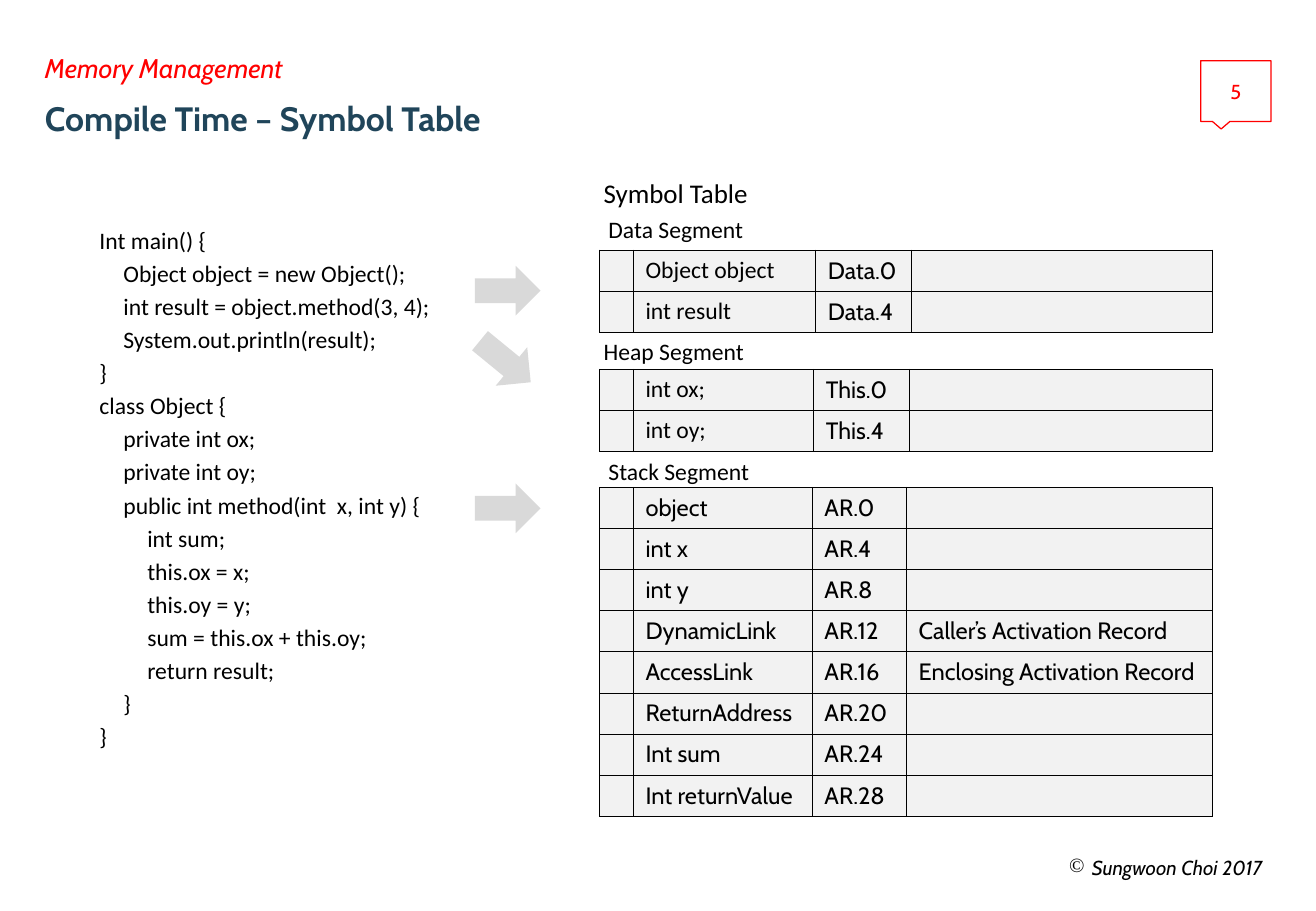
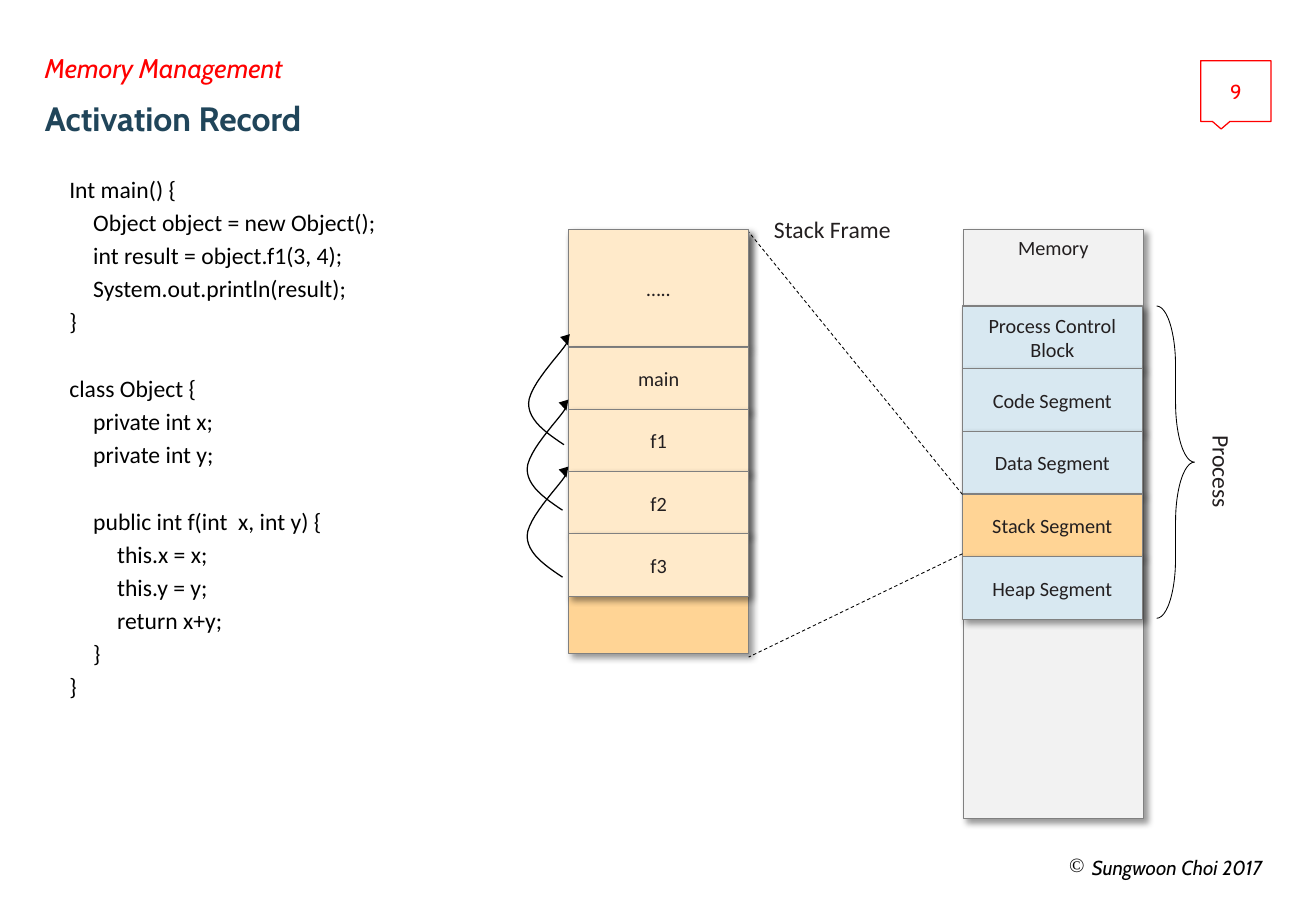
from lxml import etree
from pptx import Presentation
from pptx import util as u
from pptx.dml.color import RGBColor
from pptx.enum import dml, shapes, text
from pptx.oxml import parse_xml
from pptx.oxml.ns import nsdecls, qn

Cm, Pt = u.Cm, u.Pt
KIND = shapes.MSO_SHAPE
ALIGN, ANCHOR = text.PP_ALIGN, text.MSO_ANCHOR
COLORS = {
    "accent": "FF0000", "title": "20455A", "black": "000000", "ink": "231F20",
    "cell": "F2F2F2", "arrow": "D9D9D9", "edge": "808080",
    "segment": "D8E8F1", "stack": "FFD495", "frame": "FFEACA",
}
RGB = {name: RGBColor.from_string(value) for name, value in COLORS.items()}
LOOKS = {
    "title": ({"name": "Cabin", "size": Pt(20), "bold": True}, "title"),
    "chapter": ({"name": "Cabin", "size": Pt(16), "italic": True}, "accent"),
    "footer": ({"name": "Cabin", "size": Pt(12), "italic": True}, "black"),
    "number": ({"name": "Cabin", "size": Pt(12)}, "accent"),
    "code": ({"name": "Calibri", "size": Pt(14)}, "black"),
    "cell": ({"name": "Cabin", "size": Pt(14)}, "black"),
    "heading": ({"name": "Calibri", "size": Pt(16)}, "black"),
    "label": ({"name": "Calibri", "size": Pt(14)}, "ink"),
    "box": ({"name": "Calibri", "size": Pt(12)}, "ink"),
}


def write(holder, content, look, align=ALIGN.LEFT, anchor=ANCHOR.TOP, inset=(0.25, 0.13)):
    """Fill a shape's text frame, one paragraph a line, and return the paragraphs."""
    frame = holder.text_frame
    frame.word_wrap, frame.vertical_anchor = True, anchor
    frame.margin_left = frame.margin_right = Cm(inset[0])
    frame.margin_top = frame.margin_bottom = Cm(inset[1])
    frame.text = content
    attributes, color = LOOKS[look]
    for paragraph in frame.paragraphs:
        paragraph.alignment = align
        for run in paragraph.runs:
            for key, value in attributes.items():
                setattr(run.font, key, value)
            run.font.color.rgb = RGB[color]
    return frame.paragraphs


def add_box(parent, place, fill, label="", anchor=ANCHOR.MIDDLE):
    """Add an outlined rectangle with a soft shadow to the lower right."""
    box = parent.add_shape(KIND.RECTANGLE, *map(Cm, place))
    box.fill.solid()
    box.fill.fore_color.rgb = RGB[fill]
    box.line.color.rgb = RGB["edge"]
    box.line.width = Pt(0.75)
    box._element.spPr.append(parse_xml(
        f'<a:effectLst {nsdecls("a")}><a:outerShdw blurRad="{Pt(4)}" dist="{Pt(3)}" '
        'dir="2700000" algn="tl" rotWithShape="0"><a:srgbClr val="000000">'
        '<a:alpha val="40000"/></a:srgbClr></a:outerShdw></a:effectLst>'))
    if label:
        write(box, label, "box", ALIGN.CENTER, anchor)


SYMBOL_CODE = """Int main() {
    Object object = new Object();
    int result = object.method(3, 4);
    System.out.println(result);
}
class Object {
    private int ox;
    private int oy;
    public int method(int  x, int y) {
        int sum;
        this.ox = x;
        this.oy = y;
        sum = this.ox + this.oy;
        return result;
    }
}"""
RECORD_CODE = """Int main() {
    Object object = new Object();
    int result = object.f1(3, 4);
    System.out.println(result);
}

class Object {
    private int x;
    private int y;

    public int f(int  x, int y) {
        this.x = x;
        this.y = y;
        return x+y;
    }
}"""
PAGES = [
    ("Compile Time – Symbol Table", "5", SYMBOL_CODE, (1.9, 4.62, 7.7, 11.56)),
    ("Activation Record", "9", RECORD_CODE, (1.27, 3.56, 10, 13.97)),
]

prs = Presentation()
prs.slide_width, prs.slide_height = Cm(27.51), Cm(19.05)

# Shared frame and code listing
for title, number, code, code_place in PAGES:
    slide = prs.slides.add_slide(prs.slide_layouts[5])
    heading = slide.shapes.title
    heading.left, heading.top, heading.width, heading.height = map(Cm, (0.76, 1.83, 23.77, 1.4))
    write(heading, title, "title", anchor=ANCHOR.MIDDLE, inset=(0.18, 0))[0].line_spacing = 0.9

    chapter = slide.shapes.add_textbox(*map(Cm, (0.76, 1.02, 23.77, 0.81)))
    write(chapter, "Memory Management", "chapter", anchor=ANCHOR.MIDDLE, inset=(0.18, 0.1))

    footer = slide.shapes.add_textbox(*map(Cm, (22.1, 17.83, 4.47, 0.56)))
    credit = write(footer, "Sungwoon Choi 2017", "footer", ALIGN.RIGHT, ANCHOR.BOTTOM, (0.18, 0))[0]
    props = credit._p.get_or_add_pPr()
    props.set("marL", str(Cm(0.48)))
    props.set("indent", str(-Cm(0.48)))
    etree.SubElement(props, qn("a:buChar"), char="©")

    callout = slide.shapes.add_shape(KIND.RECTANGULAR_CALLOUT, *map(Cm, (25.1, 1.27, 1.47, 1.27)))
    callout.shadow.inherit = False
    callout.fill.background()
    callout.line.color.rgb = RGB["accent"]
    callout.line.width = Pt(0.75)
    write(callout, number, "number", ALIGN.CENTER, ANCHOR.MIDDLE, (0.2, 0.2))

    listing = slide.shapes.add_textbox(*map(Cm, code_place))
    blocks = [block.split("\n") for block in code.split("\n\n")]
    lines = [(line, i > 0 and j == 0) for i, block in enumerate(blocks) for j, line in enumerate(block)]
    paragraphs = write(listing, "\n".join(line.strip() for line, _ in lines), "code", inset=(0.18, 0.1))
    for paragraph, (line, opens_block) in zip(paragraphs, lines):
        level = (len(line) - len(line.lstrip())) // 4
        paragraph.level = level
        paragraph._p.get_or_add_pPr().set("marL", str(Cm(0.5 * level)))
        paragraph.space_before = Pt(22.6 if opens_block else 2.8)

symbol_slide, record_slide = prs.slides

# Symbol table
TABLE_WIDTH, ROW_HEIGHT = 12.82, 0.86
SEGMENTS = [
    ("Data Segment", (12.47, 4.37), 5.23, (0.71, 3.81, 2.01), "code",
     [("Object object", "Data.0"), ("int result", "Data.4")]),
    ("Heap Segment", (12.37, 6.91), 7.72, (0.71, 3.77, 2.01), "code",
     [("int ox;", "This.0"), ("int oy;", "This.4")]),
    ("Stack Segment", (12.47, 9.42), 10.19, (0.71, 3.74, 1.97), "cell",
     [("object", "AR.0"), ("int x", "AR.4"), ("int y", "AR.8"),
      ("DynamicLink", "AR.12", "Caller’s Activation Record"),
      ("AccessLink", "AR.16", "Enclosing Activation Record"),
      ("ReturnAddress", "AR.20"), ("Int sum", "AR.24"), ("Int returnValue", "AR.28")]),
]
table_heading = symbol_slide.shapes.add_textbox(*map(Cm, (12.37, 3.56, 5, 0.94)))
write(table_heading, "Symbol Table", "heading")
for name, corner, top, widths, name_look, symbols in SEGMENTS:
    segment_label = symbol_slide.shapes.add_textbox(*map(Cm, (*corner, 5, 0.86)))
    write(segment_label, name, "code")
    table = symbol_slide.shapes.add_table(
        len(symbols), 4, *map(Cm, (12.53, top, TABLE_WIDTH, ROW_HEIGHT * len(symbols)))).table
    table.first_row = table.horz_banding = False
    for column, width in zip(table.columns, (*widths, TABLE_WIDTH - sum(widths))):
        column.width = Cm(width)
    for row, symbol in zip(table.rows, symbols):
        row.height = Cm(ROW_HEIGHT)
        values = ("", *symbol, "")[:4]
        for index, (cell, value) in enumerate(zip(row.cells, values)):
            paragraph = write(cell, value, name_look if index == 1 else "cell", anchor=ANCHOR.MIDDLE)[0]
            etree.SubElement(paragraph._p, qn("a:endParaRPr"), sz="1400")
            borders = cell._tc.get_or_add_tcPr()
            for side in ("lnL", "lnR", "lnT", "lnB"):
                borders.append(parse_xml(
                    f'<a:{side} {nsdecls("a")} w="{Pt(0.5)}"><a:solidFill>'
                    f'<a:srgbClr val="{COLORS["black"]}"/></a:solidFill></a:{side}>'))
            cell.fill.solid()
            cell.fill.fore_color.rgb = RGB["cell"]

for left, top, turn in ((9.93, 5.56, 0), (9.88, 7.04, 39.3), (9.93, 10.11, 0)):
    arrow = symbol_slide.shapes.add_shape(KIND.RIGHT_ARROW, *map(Cm, (left, top, 1.37, 1.04)))
    arrow.rotation = turn
    arrow.shadow.inherit = False
    arrow.fill.solid()
    arrow.fill.fore_color.rgb = RGB["arrow"]
    arrow.line.fill.background()

# Memory and its process segments
BOX_WIDTH, BOX_HEIGHT = 3.76, 1.32
drawing = record_slide.shapes
add_box(drawing, (20.14, 4.8, BOX_WIDTH, 12.32), "cell", "Memory", ANCHOR.TOP)
add_box(drawing, (11.89, 4.85, BOX_WIDTH, 8.81), "stack")
process = drawing.add_group_shape().shapes
for i, name in enumerate(("Process Control Block", "Code Segment", "Data Segment",
                          "Stack Segment", "Heap Segment")):
    add_box(process, (20.12, 6.4 + 1.31 * i, BOX_WIDTH, BOX_HEIGHT),
            "stack" if name == "Stack Segment" else "segment", name)

for segment_y, stack_y in ((10.34, 4.85), (11.58, 13.74)):
    zoom = drawing.add_connector(shapes.MSO_CONNECTOR.STRAIGHT,
                                 *map(Cm, (20.12, segment_y, 15.65, stack_y)))
    zoom.line.color.rgb = RGB["black"]
    zoom.line.width = Pt(0.5)
    zoom.line.dash_style = dml.MSO_LINE.DASH
    etree.SubElement(zoom._element.spPr, qn("a:effectLst"))

# Stack frames
add_box(drawing, (11.89, 4.8, BOX_WIDTH, 2.46), "frame", "…..")
for i, name in enumerate(("main", "f1", "f2", "f3")):
    add_box(drawing, (11.89, 7.26 + 1.3 * i, BOX_WIDTH, BOX_HEIGHT), "frame", name)

for name, place, turn in (("Stack Frame", (15.65, 4.37, 3.5, 0.86), 0),
                          ("Process", (24.29, 9.43, 2.5, 0.86), 90)):
    label = drawing.add_textbox(*map(Cm, place))
    label.rotation = turn
    write(label, name, "label", ALIGN.CENTER)

brace = drawing.add_shape(KIND.RIGHT_BRACE, *map(Cm, (24.18, 6.4, 0.79, 6.53)))
brace.adjustments[0], brace.adjustments[1] = 1.582, 0.5
brace.shadow.inherit = False
brace.fill.background()
brace.line.color.rgb = RGB["black"]
brace.line.width = Pt(0.5)

# Return links: three Bézier pieces, as offsets from the starting point
LINK = [(0, 0), (-0.38, -0.25), (-0.74, -0.51), (-0.74, -0.86), (-0.74, -1.22), (-0.1, -1.88),
        (0.03, -2.08), (0.15, -2.29), (0.13, -2.18), (0.08, -2.08)]
STEPS = 12
curve = []
for first in (0, 3, 6):
    for step in range(1, STEPS + 1):
        t = step / STEPS
        weights = ((1 - t) ** 3, 3 * t * (1 - t) ** 2, 3 * t * t * (1 - t), t ** 3)
        curve.append([sum(w * point[axis] for w, point in zip(weights, LINK[first:first + 4]))
                      for axis in (0, 1)])
for x, y in ((11.76, 12.07), (11.76, 10.67), (11.79, 9.3)):
    builder = drawing.build_freeform(Cm(x), Cm(y))
    builder.add_line_segments([(Cm(x + dx), Cm(y + dy)) for dx, dy in curve], close=False)
    link = builder.convert_to_shape()
    link.shadow.inherit = False
    link.fill.background()
    link.line.color.rgb = RGB["black"]
    link.line.width = Pt(0.75)
    etree.SubElement(link.line._get_or_add_ln(), qn("a:tailEnd"), type="triangle")

prs.save("out.pptx")
